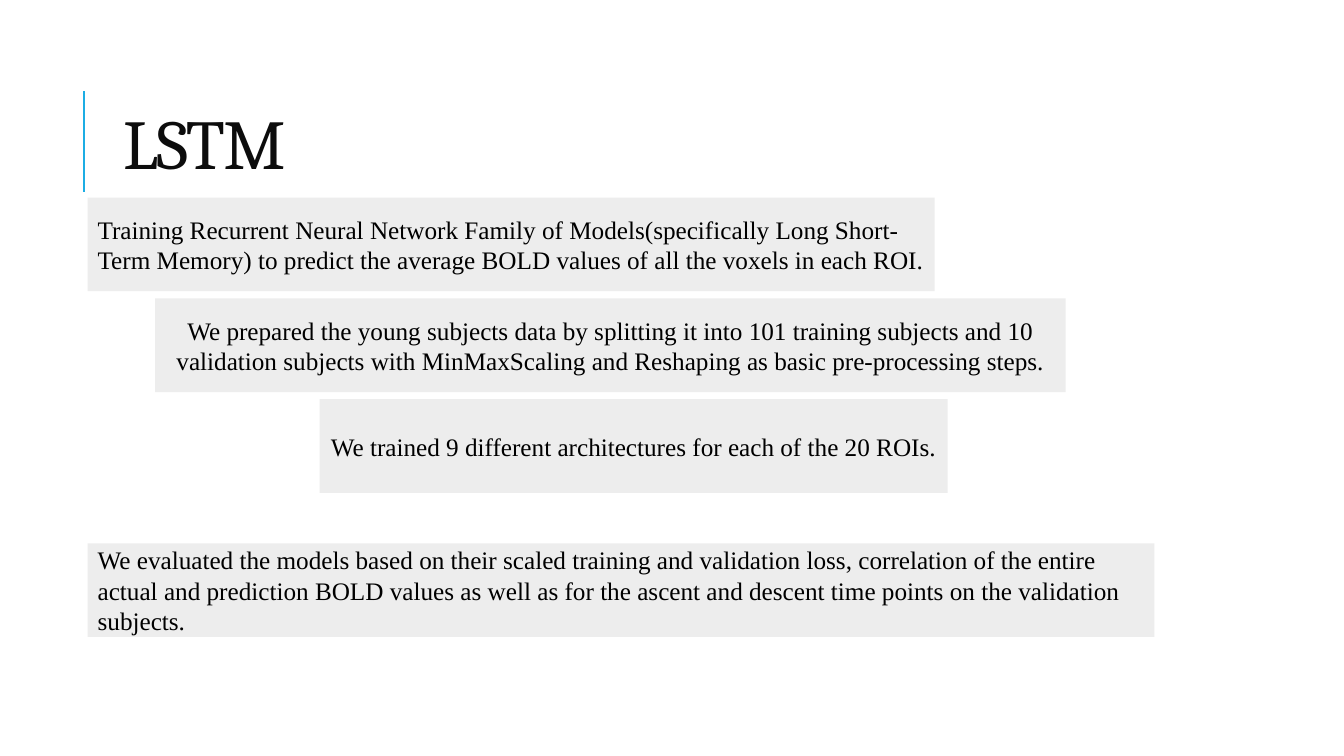
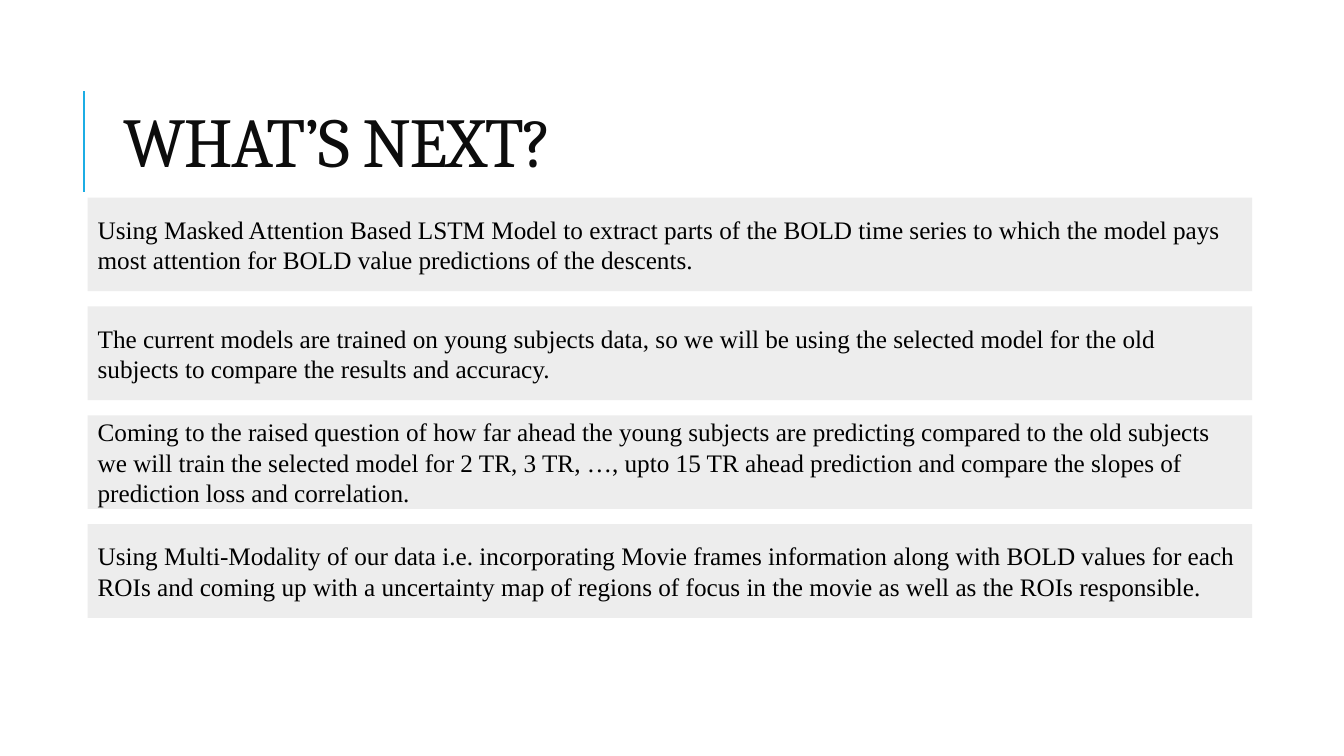
"""Build two slides on LSTM training and the next steps."""
from lxml import etree
from pptx import Presentation
from pptx.dml.color import RGBColor
from pptx.enum.shapes import MSO_CONNECTOR, MSO_SHAPE
from pptx.enum.text import MSO_ANCHOR, MSO_AUTO_SIZE, PP_ALIGN
from pptx.oxml.ns import qn
from pptx.util import Inches, Pt

LEFT, TOP, CARD_H, FULL_W = 0.87, 1.96, 0.93, 11.55
TITLE_BOX = {"left": 1.12, "top": 0.64, "width": 10.63, "height": 1.64}
TITLE_FONT = {"name": "Cambria", "size": Pt(50)}
CARD_FONT = {"name": "Times New Roman", "size": Pt(18)}
ACCENT, TITLE_INK, CARD_FILL, CARD_INK = "1CADE4", "0C0C0C", "EDEDED", "000000"
L, C = PP_ALIGN.LEFT, PP_ALIGN.CENTER

SLIDES = [
    {"title": "LSTM", "spacing": 0.9, "pitch": 1.0, "cards": [
        (0, LEFT, 8.4, L, "Training Recurrent Neural Network Family of Models(specifically Long Short-Term Memory) "
         "to predict the average BOLD values of all the voxels in each ROI."),
        (1, 1.54, 9.03, C, "We prepared the young subjects data by splitting it into 101 training subjects and 10 "
         "validation subjects with MinMaxScaling and Reshaping as basic pre-processing steps."),
        (2, 3.17, 6.23, C, "We trained 9 different architectures for each of the 20 ROIs."),
        (3.43, LEFT, 10.58, L, "We evaluated the models based on their scaled training and validation loss, "
         "correlation of the entire actual and prediction BOLD values as well as for the ascent and descent "
         "time points on the validation subjects."),
    ]},
    {"title": "WHAT’S NEXT?", "spacing": 0.8, "pitch": 1.08, "cards": [
        (row, LEFT, FULL_W, L, text) for row, text in enumerate([
            "Using Masked Attention Based LSTM Model to extract parts of the BOLD time series to which the model "
            "pays most attention for BOLD value predictions of the descents.",
            "The current models are trained on young subjects data, so we will be using the selected model for "
            "the old subjects to compare the results and accuracy.",
            "Coming to the raised question of how far ahead the young subjects are predicting compared to the old "
            "subjects we will train the selected model for 2 TR, 3 TR, …, upto 15 TR ahead prediction and compare "
            "the slopes of prediction loss and correlation.",
            "Using Multi-Modality of our data i.e. incorporating Movie frames information along with BOLD values "
            "for each ROIs and coming up with a uncertainty map of regions of focus in the movie as well as the "
            "ROIs responsible.",
        ])
    ]},
]


def paint(color, value):
    """Set a colour from a hex string."""
    color.rgb = RGBColor.from_string(value)


def write(shape, text, font, ink, align):
    """Write one paragraph, centred vertically, and return it."""
    tf = shape.text_frame
    tf.word_wrap, tf.auto_size = True, MSO_AUTO_SIZE.NONE
    tf.vertical_anchor = MSO_ANCHOR.MIDDLE
    p = tf.paragraphs[0]
    p.alignment = align
    r = p.add_run()
    r.text = text
    for key, value in font.items():
        setattr(r.font, key, value)
    paint(r.font.color, ink)
    return p


def add_title(s, text, spacing):
    """Fill the title placeholder with tightly tracked text."""
    p = write(s.shapes.title, text, TITLE_FONT, TITLE_INK, L)
    p.line_spacing = spacing
    p.runs[0].font._element.set("spc", "-100")


def add_card(s, top, left, width, align, text):
    """Draw one grey text card."""
    card = s.shapes.add_shape(MSO_SHAPE.RECTANGLE, *map(Inches, (left, top, width, CARD_H)))
    card.shadow.inherit = False
    card.fill.solid()
    paint(card.fill.fore_color, CARD_FILL)
    card.line.fill.background()
    write(card, text, CARD_FONT, CARD_INK, align)


def add_accent(s, layout):
    """Draw the accent line and move it to the shared layout."""
    line = s.shapes.add_connector(MSO_CONNECTOR.STRAIGHT, *map(Inches, (0.83, 1.9, 0.83, 0.9)))
    paint(line.line.color, ACCENT)
    line.line.width = Pt(1.5)
    etree.SubElement(line.element.spPr, qn("a:effectLst"))
    layout.element.cSld.spTree.append(line.element)


def main():
    """Build and save the presentation."""
    prs = Presentation()
    prs.slide_width, prs.slide_height = Inches(13.33), Inches(7.5)
    layout = prs.slide_layouts.get_by_name("Title Only")
    for key, value in TITLE_BOX.items():
        setattr(layout.placeholders[0], key, Inches(value))
    for content in SLIDES:
        s = prs.slides.add_slide(layout)
        add_title(s, content["title"], content["spacing"])
        for row, *card in content["cards"]:
            add_card(s, TOP + row * content["pitch"], *card)
    add_accent(s, layout)
    prs.save("out.pptx")


if __name__ == "__main__":
    main()
